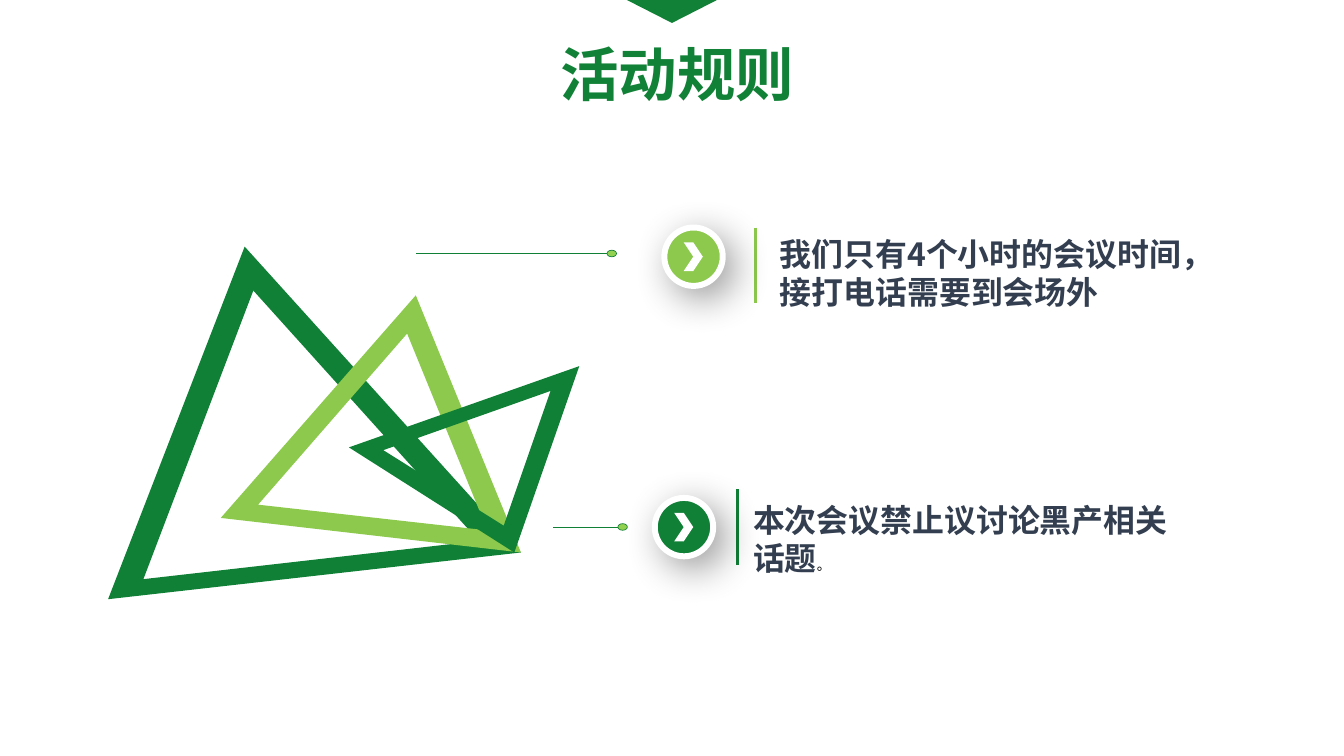
from dataclasses import dataclass

from lxml.etree import SubElement
from pptx import Presentation
from pptx.dml.color import RGBColor
from pptx.enum.shapes import MSO_CONNECTOR as Connector, MSO_SHAPE as Shape
from pptx.enum.text import MSO_AUTO_SIZE as AutoSize, PP_ALIGN as Align
from pptx.oxml.ns import qn
from pptx.util import Pt


@dataclass(frozen=True)
class Theme:
    green: str = "108036"
    heading: str = "108136"
    lime: str = "8CC94C"
    dot: str = "92D050"
    ink: str = "333F50"
    black: str = "000000"
    white: str = "FFFFFF"
    font: str = "Noto Sans CJK SC"
    small_font: str = "Calibri"
    title_size: float = 44
    body_size: float = 24
    small_size: float = 10.5


class SlideBuilder:
    def __init__(self, slide, theme):
        self.slide = slide
        self.theme = theme

    def paint(self, shape, fill, outline=None, weight=0):
        shape.shadow.inherit = False
        shape.fill.solid()
        shape.fill.fore_color.rgb = RGBColor.from_string(fill)
        if outline:
            shape.line.color.rgb = RGBColor.from_string(outline)
            shape.line.width = Pt(weight)
        else:
            shape.line.fill.background()

    def shape(self, kind, box, fill, outline=None, weight=0, parent=None):
        shapes = (parent or self.slide).shapes
        shape = shapes.add_shape(kind, *map(Pt, box))
        self.paint(shape, fill, outline, weight)
        return shape

    def line(self, start, end, color, weight, parent=None):
        shapes = (parent or self.slide).shapes
        line = shapes.add_connector(Connector.STRAIGHT, *map(Pt, (*start, *end)))
        line.line.color.rgb = RGBColor.from_string(color)
        line.line.width = Pt(weight)
        SubElement(line._element.spPr, qn("a:effectLst"))

    def triangle_frame(self, outer, inner, color):
        outer, inner = ([(Pt(x), Pt(y)) for x, y in ring] for ring in (outer, inner))
        builder = self.slide.shapes.build_freeform(*outer[0])
        builder.add_line_segments(outer[1:], close=True)
        builder.move_to(*inner[0])
        builder.add_line_segments(inner[1:], close=True)
        self.paint(builder.convert_to_shape(), color)

    def leader(self, left, center_x, center_y):
        group = self.slide.shapes.add_group_shape()
        self.line((center_x, center_y), (left, center_y), self.theme.green, 0.5, group)
        self.shape(Shape.OVAL, (center_x - 3.6, center_y - 2.5, 7.2, 5),
                   self.theme.dot, self.theme.green, 0.5, group)

    def badge(self, left, top, color):
        group = self.slide.shapes.add_group_shape()
        disc = self.shape(Shape.OVAL, (left, top, 44, 44), color, self.theme.white, 4.5, group)
        self.soft_shadow(disc)
        self.shape(Shape.CHEVRON, (left + 14.6, top + 11.2, 14.4, 21.6),
                   self.theme.white, parent=group)

    def soft_shadow(self, shape):
        effects = shape._element.spPr.find(qn("a:effectLst"))
        shadow = SubElement(effects, qn("a:outerShdw"), blurRad=str(Pt(30)), dist=str(Pt(10)),
                            dir=str(45 * 60000), algn="tl", rotWithShape="0")
        color = SubElement(shadow, qn("a:srgbClr"), val=self.theme.black)
        SubElement(color, qn("a:alpha"), val="40000")

    def style(self, run, size, color, font, bold):
        run.font.size = Pt(size)
        run.font.bold = bold
        run.font.color.rgb = RGBColor.from_string(color)
        run.font.name = font
        SubElement(run._r.get_or_add_rPr(), qn("a:ea"), typeface=self.theme.font)

    def text(self, box, words, size, color, align=Align.LEFT, wrap=True):
        frame = self.slide.shapes.add_textbox(*map(Pt, box)).text_frame
        frame.word_wrap = wrap
        frame.auto_size = AutoSize.SHAPE_TO_FIT_TEXT
        frame.margin_top = Pt(3.6 + 0.08 * size)
        frame.margin_bottom = Pt(3.6 - 0.08 * size)
        paragraph = frame.paragraphs[0]
        paragraph.text = words
        paragraph.alignment = align
        paragraph.line_spacing = Pt(1.2 * size)
        self.style(paragraph.runs[0], size, color, self.theme.font, True)
        return paragraph

    def rule(self, left, top, words, color, divider_x, divider_top, badge):
        self.line((divider_x, divider_top), (divider_x, divider_top + 57), color, 2.25)
        paragraph = self.text((left, top, 333.4, 65), words,
                              self.theme.body_size, self.theme.ink)
        self.badge(*badge, color)
        return paragraph


def main():
    theme = Theme()
    deck = Presentation()
    deck.slide_width, deck.slide_height = Pt(1012.32), Pt(569.52)
    page = SlideBuilder(deck.slides.add_slide(deck.slide_layouts[6]), theme)

    page.triangle_frame([(184.3, 185.8), (81.4, 451.4), (392.4, 416.2)],
                        [(190.8, 218.9), (360.7, 407.5), (108, 436.3)], theme.green)
    page.triangle_frame([(313.2, 222.5), (166.3, 390.2), (392.4, 416.2)],
                        [(306.7, 251.3), (367.2, 399.6), (194.4, 380.2)], theme.lime)
    page.leader(313.2, 460.8, 191)
    page.leader(416.2, 469, 397)
    page.triangle_frame([(262.8, 337), (387.4, 416.2), (436.3, 275.8)],
                        [(379.4, 396), (288.7, 339.1), (414.7, 294.5)], theme.green)

    topic_rule = page.rule(560.2, 371.5, "本次会议禁止议讨论黑产相关话题", theme.green,
                           555.8, 368.6, (493.2, 375.1))
    full_stop = topic_rule.add_run()
    full_stop.text = "。"
    page.style(full_stop, theme.small_size, theme.black, theme.small_font, False)
    page.rule(580.3, 171.4, "我们只有4个小时的会议时间，接打电话需要到会场外", theme.lime,
              568.8, 171.4, (500.4, 171.4))

    page.text((414, 21.6, 192.2, 60.5), "活动规则", theme.title_size, theme.heading,
              Align.CENTER, wrap=False)
    top_marker = page.shape(Shape.ISOSCELES_TRIANGLE, (469.4, -1.4, 73.4, 18.7), theme.heading)
    top_marker.rotation = 180
    deck.save("out.pptx")


if __name__ == "__main__":
    main()
